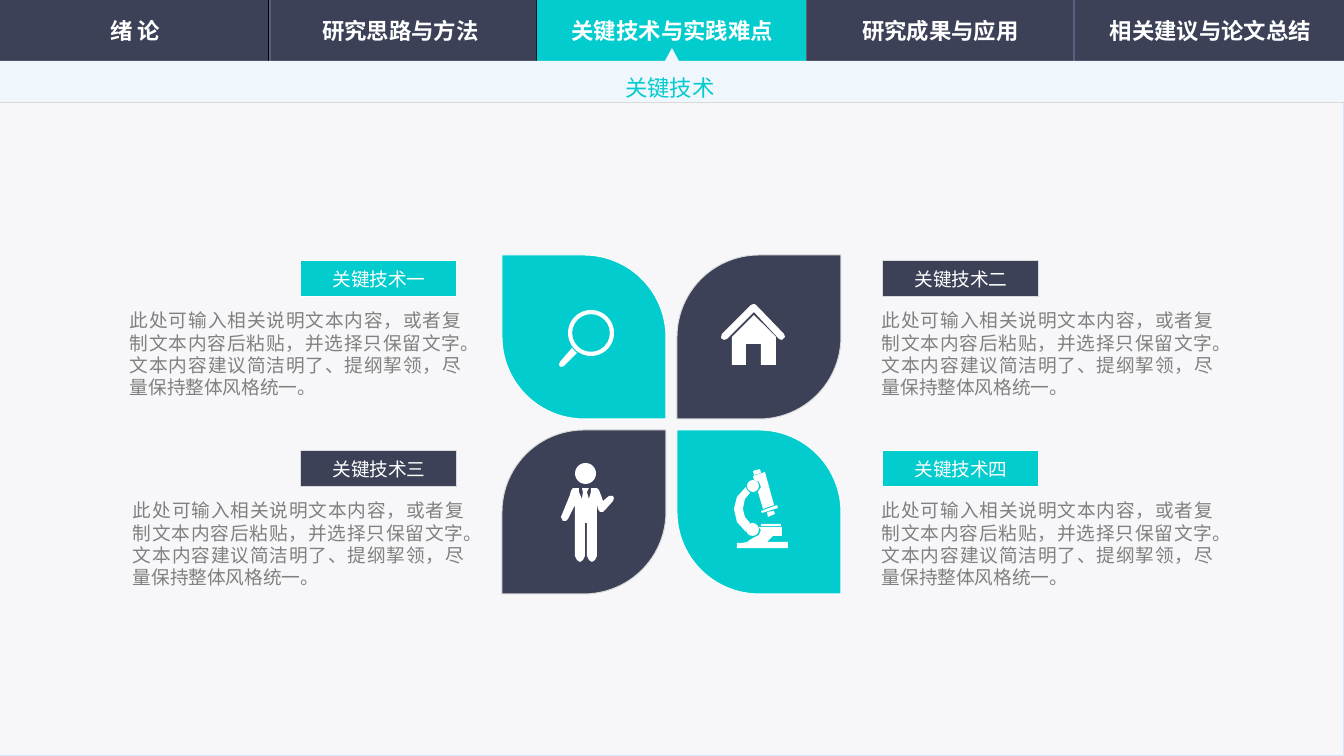
from dataclasses import dataclass

from lxml import etree
from pptx import Presentation
from pptx.dml.color import RGBColor
from pptx.enum.shapes import MSO_CONNECTOR, MSO_SHAPE
from pptx.enum.text import MSO_ANCHOR, PP_ALIGN
from pptx.oxml.ns import qn
from pptx.util import Emu, Pt

SCALE = 914400 / 134.4  # EMU per pixel
W, H, NAV_H, STRIP_END = 1344, 756, 61, 103
RECT, OVAL, DONUT = MSO_SHAPE.RECTANGLE, MSO_SHAPE.OVAL, MSO_SHAPE.DONUT
LABEL, PETAL = MSO_SHAPE.ROUNDED_RECTANGLE, MSO_SHAPE.ROUND_2_DIAG_RECTANGLE
STRAIGHT = MSO_CONNECTOR.STRAIGHT
MIDDLE, TOP = MSO_ANCHOR.MIDDLE, MSO_ANCHOR.TOP
LEFT, CENTER, JUSTIFY = PP_ALIGN.LEFT, PP_ALIGN.CENTER, PP_ALIGN.JUSTIFY
CJK = "Noto Sans CJK SC"
COLORS = {
    "navy": "3C4157", "teal": "03CCCE", "white": "FFFFFF", "panel": "F7F7F9",
    "panel_line": "D4E7F9", "strip": "EFF6FC", "rule": "D9D9D9",
    "black": "000000", "groove": "596181", "gray": "808080",
}
DESCRIPTION = ("此处可输入相关说明文本内容\uff0c或者复制文本内容后粘贴\uff0c并选择只保留文字。"
               "文本内容建议简洁明了、提纲挈领\uff0c尽量保持整体风格统一。")

Points = list[tuple[int, int]]


@dataclass
class Tab:
    label: str
    x: int


@dataclass
class Topic:
    label: str
    col: int
    row: int
    tag_x: int
    text_x: int

    @property
    def color(self) -> str:
        return "teal" if self.col == self.row else "navy"

    @property
    def line(self) -> str:
        return "white" if self.col == self.row else "rule"


@dataclass
class Part:
    kind: MSO_SHAPE
    box: tuple[int, int, int, int]
    adj: tuple[float, ...] = ()


TABS = [Tab("绪 论", 2), Tab("研究思路与方法", 267), Tab("关键技术与实践难点", 539),
        Tab("研究成果与应用", 807), Tab("相关建议与论文总结", 1077)]
TOPICS = [Topic("关键技术一", 0, 0, 301, 130), Topic("关键技术二", 1, 0, 883, 882),
          Topic("关键技术三", 0, 1, 301, 133), Topic("关键技术四", 1, 1, 883, 882)]

# Icon outlines and simple icon parts
MAGNIFIER_HANDLE = [(572, 348), (577, 353), (564, 366), (561, 367), (559, 365), (560, 362)]
HOUSE_WALLS = [(754, 315), (776, 337), (776, 365), (761, 365), (761, 344),
               (746, 344), (746, 365), (732, 365), (732, 337)]
HOUSE_ROOF = [(782, 340), (779, 339), (754, 312), (727, 339), (724, 340), (721, 338),
              (722, 334), (751, 305), (754, 304), (756, 305), (784, 334), (785, 337)]
PERSON_BODY = [
    (613, 496), (609, 496), (603, 501), (601, 495), (599, 490), (597, 488), (591, 488),
    (591, 492), (589, 499), (587, 492), (589, 488), (582, 488), (583, 492), (582, 499),
    (579, 492), (579, 488), (573, 488), (571, 491), (570, 495), (561, 517), (563, 521),
    (566, 521), (568, 519), (575, 505), (575, 556), (577, 560), (580, 562), (583, 560),
    (585, 556), (585, 523), (587, 523), (587, 556), (589, 560), (592, 562), (595, 560),
    (597, 556), (597, 504), (598, 509), (600, 512), (603, 512), (606, 509), (613, 501),
    (614, 498)]
SCOPE_STAGE = [(778, 508), (762, 513), (761, 511), (777, 505)]
SCOPE_LENS = [(767, 512), (768, 517), (775, 514), (774, 511)]
SCOPE_EYEPIECE = [(753, 471), (754, 475), (761, 473), (760, 469)]
SCOPE_TUBE = [(765, 472), (753, 476), (754, 480), (759, 482), (761, 487), (758, 492),
              (763, 509), (774, 505)]
SCOPE_ARM = [(746, 532), (746, 529), (750, 523), (745, 517), (743, 509), (745, 499),
             (750, 493), (747, 490), (746, 487), (737, 497), (734, 509), (737, 522)]
SCOPE_BASE = [(767, 542), (773, 536), (782, 536), (782, 527), (759, 527), (761, 530),
              (759, 535), (753, 538), (747, 542), (742, 543), (737, 543), (737, 548),
              (788, 548), (788, 542)]
ICON_OUTLINES = [MAGNIFIER_HANDLE, HOUSE_WALLS, HOUSE_ROOF, PERSON_BODY, SCOPE_STAGE,
                 SCOPE_LENS, SCOPE_EYEPIECE, SCOPE_TUBE, SCOPE_ARM, SCOPE_BASE]
ICON_PARTS = [Part(DONUT, (568, 310, 46, 46), (0.09,)), Part(OVAL, (575, 463, 21, 21)),
              Part(OVAL, (747, 480, 12, 12)), Part(OVAL, (746, 523, 13, 13)),
              Part(RECT, (761, 524, 20, 2))]

prs = Presentation()
prs.slide_width, prs.slide_height = Emu(round(W * SCALE)), Emu(round(H * SCALE))
s = prs.slides.add_slide(prs.slide_layouts[6])


def px(*values: float) -> list[Emu]:
    return [Emu(round(v * SCALE)) for v in values]


def rgb(name: str) -> RGBColor:
    return RGBColor.from_string(COLORS[name])


def paint(sp, fill: str | None, line: str | None = None) -> None:
    sp.shadow.inherit = False
    if fill:
        sp.fill.solid()
        sp.fill.fore_color.rgb = rgb(fill)
    else:
        sp.fill.background()
    if line:
        sp.line.color.rgb = rgb(line)
        sp.line.width = Pt(0.5)
    else:
        sp.line.fill.background()


def add_part(part: Part, fill: str | None, line: str | None = None):
    sp = s.shapes.add_shape(part.kind, *px(*part.box))
    for i, value in enumerate(part.adj):
        sp.adjustments[i] = value
    paint(sp, fill, line)
    return sp


def add_outline(points: Points, fill: str) -> None:
    builder = s.shapes.build_freeform(*points[0], scale=SCALE)
    builder.add_line_segments(points[1:], close=True)
    paint(builder.convert_to_shape(), fill)


def add_line(x1: int, y1: int, x2: int, y2: int, color: str, width: float = 0.5) -> None:
    line = s.shapes.add_connector(STRAIGHT, *px(x1, y1, x2, y2))
    line.line.color.rgb = rgb(color)
    line.line.width = Pt(width)
    etree.SubElement(line._element.spPr, qn("a:effectLst"))


def set_text(sp, text: str, size: int, font: str, color: str, align: PP_ALIGN,
             anchor: MSO_ANCHOR = MIDDLE, bold: bool = False, wrap: bool = True) -> None:
    tf = sp.text_frame
    tf.word_wrap, tf.vertical_anchor = wrap, anchor
    p = tf.paragraphs[0]
    p.text, p.alignment = text, align
    r = p.runs[0]
    r.font.size, r.font.name, r.font.bold = Pt(size), font, bold
    r.font.color.rgb = rgb(color)
    etree.SubElement(r.font._element, qn("a:ea")).set("typeface", CJK)


# Navigation bar and page panel
add_part(Part(RECT, (0, 0, W, NAV_H)), "navy")
add_part(Part(RECT, (0, NAV_H, W, H - NAV_H)), "panel", "panel_line")
for i in range(1, len(TABS)):
    x = 268 * i + 1
    add_line(x, 0, x, NAV_H, "black")
    add_line(x + 1, 0, x + 1, NAV_H, "groove", 0.75)
add_part(Part(RECT, (537, 0, 269, NAV_H)), "teal")
add_outline([(672, 48), (679, NAV_H), (W, NAV_H), (W, STRIP_END), (0, STRIP_END),
             (0, NAV_H), (665, NAV_H)], "strip")
add_line(0, STRIP_END, W, STRIP_END, "rule")
for tab in TABS:
    label = add_part(Part(LABEL, (tab.x, 10, 267, 42), (0,)), None)
    set_text(label, tab.label, 12, CJK, "white", CENTER, bold=True)

# Section title
title = s.shapes.add_textbox(*px(612, 56, 118, 50))
set_text(title, "关键技术", 12, CJK, "teal", LEFT, wrap=False)
title.text_frame.paragraphs[0].line_spacing = 1.5

# Petals with their tags and descriptions
for t in TOPICS:
    adj = (0, 0.5) if t.col == t.row else (0.5, 0)
    add_part(Part(PETAL, (502 + 175 * t.col, 255 + 175 * t.row, 164, 164), adj), t.color, t.line)
    tag = add_part(Part(LABEL, (t.tag_x, 261 + 190 * t.row, 156, 36), (0,)), t.color, t.line)
    set_text(tag, t.label, 10, "Arial Narrow", "white", CENTER)
    box = s.shapes.add_textbox(*px(t.text_x, 309 + 190 * t.row, 331, 90))
    set_text(box, DESCRIPTION, 10, "Arial", "gray", JUSTIFY, TOP)
    tf = box.text_frame
    tf.margin_left = tf.margin_right = tf.margin_top = tf.margin_bottom = 0

# Icons
for outline in ICON_OUTLINES:
    add_outline(outline, "white")
for part in ICON_PARTS:
    add_part(part, "white")

prs.save("out.pptx")
